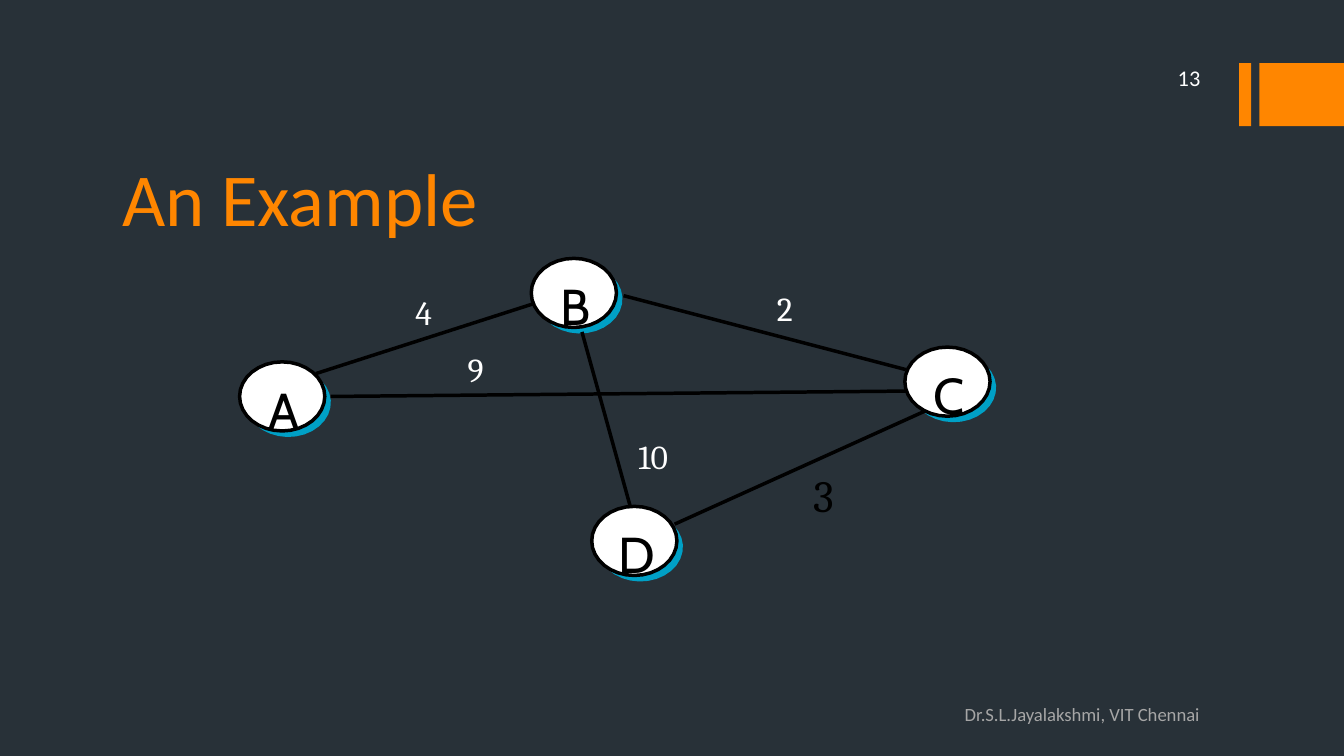
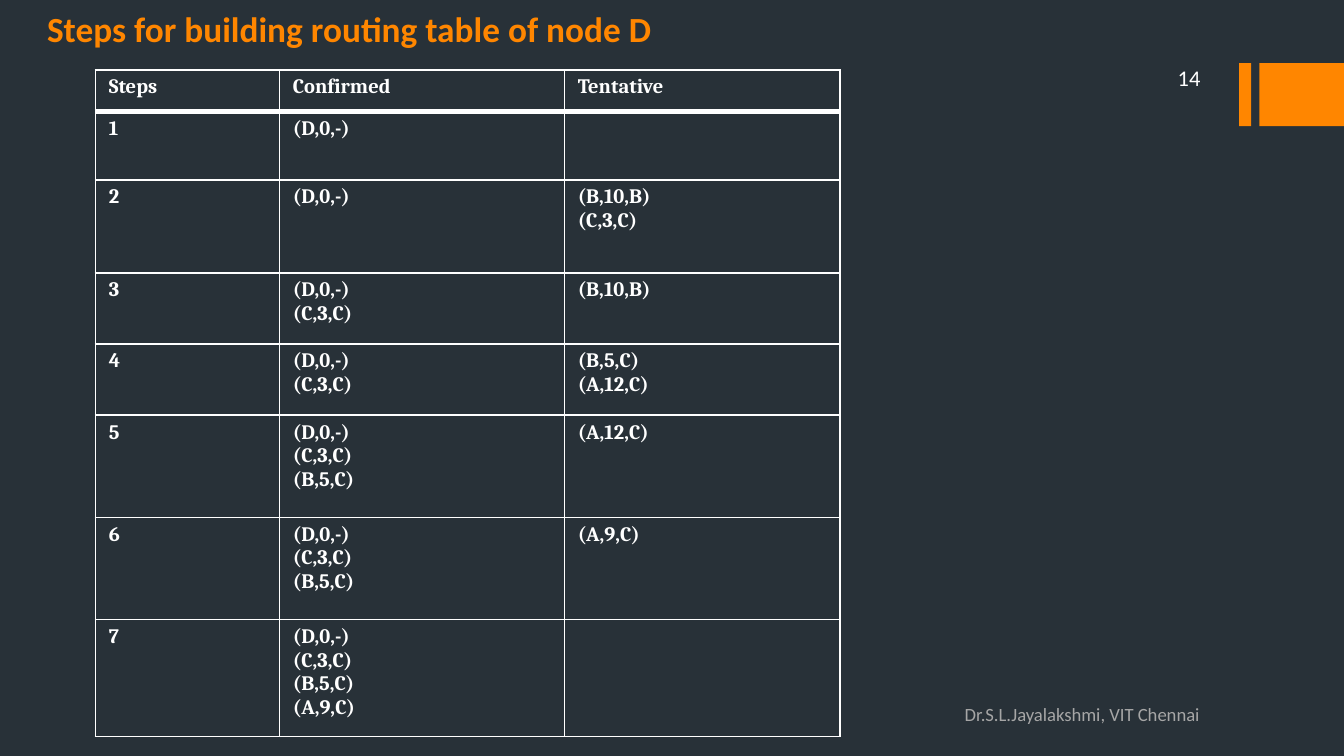
from math import cos, radians, sin
from typing import NamedTuple

from lxml.etree import SubElement
from pptx import Presentation
from pptx.dml.color import RGBColor
from pptx.enum.shapes import MSO_CONNECTOR, MSO_SHAPE
from pptx.enum.text import MSO_ANCHOR, MSO_AUTO_SIZE, PP_ALIGN
from pptx.oxml.ns import qn
from pptx.util import Inches, Pt

# Lengths are counted in square grid cells: 100 columns by 56.25 rows.
CELL = Inches(10) // 100
COLUMNS, ROWS = 100, 56.25

BACKGROUND, ORANGE, CYAN = "283138", "FF8600", "00A0C6"
WHITE, BLACK, GREY = "FFFFFF", "000000", "A6A6A6"
FOOTER = "Dr.S.L.Jayalakshmi, VIT Chennai"
EDGE_WIDTH = 1.88
RADIUS_X, RADIUS_Y = 3.17, 2.57
SHADE_SHIFT = 0.45


class Area(NamedTuple):
    left: float
    top: float
    width: float
    height: float


class Node(NamedTuple):
    name: str
    x: float
    y: float


class Edge(NamedTuple):
    start: tuple[float, float]
    end: tuple[float, float]
    cost: str
    cost_area: Area
    cost_size: float = 18
    cost_color: str = WHITE


class Step(NamedTuple):
    height: float
    label: str
    confirmed: str
    tentative: str


BANDS = [Area(92.2, 4.7, 0.9, 4.7), Area(93.7, 4.7, 6.3, 4.7)]
NUMBER_AREA = Area(80, 4.5, 10.3, 2.5)
FOOTER_AREA = Area(70.8, 52.3, 24.6, 2.5)

NODES = [Node("D", 47.2, 40.25), Node("A", 21, 29.5),
         Node("B", 42.7, 21.8), Node("C", 70.5, 28.4)]
EDGES = [
    Edge((23.5, 27.8), (39.7, 22.6), "4", Area(30.9, 21.7, 1.3, 3)),
    Edge((46.4, 22), (67.4, 27.5), "2", Area(57.8, 21.4, 1.3, 3)),
    Edge((24.6, 29.5), (67.4, 29.1), "9", Area(34.8, 26, 1.3, 3)),
    Edge((43.3, 24.7), (46.9, 37.7), "10", Area(47.5, 32.4, 2.5, 3)),
    Edge((68.8, 30.6), (50.2, 39), "3", Area(60.5, 34.8, 1.7, 4), 24, BLACK),
]

TABLE_LEFT, TABLE_TOP = 7.1, 5.2
COLUMN_WIDTHS = [13.7, 21.2, 20.5]
STEPS = [
    Step(3.1, "Steps", "Confirmed", "Tentative"),
    Step(5.1, "1", "(D,0,-)", ""),
    Step(6.9, "2", "(D,0,-)", "(B,10,B)\n(C,3,C)"),
    Step(5.3, "3", "(D,0,-)\n(C,3,C)", "(B,10,B)"),
    Step(5.3, "4", "(D,0,-)\n(C,3,C)", "(B,5,C)\n(A,12,C)"),
    Step(7.6, "5", "(D,0,-)\n(C,3,C)\n(B,5,C)", "(A,12,C)"),
    Step(7.6, "6", "(D,0,-)\n(C,3,C)\n(B,5,C)", "(A,9,C)"),
    Step(8.7, "7", "(D,0,-)\n(C,3,C)\n(B,5,C)\n(A,9,C)", ""),
]


def color(value: str) -> RGBColor:
    return RGBColor.from_string(value)


def cells(*counts: float) -> list[int]:
    """Turn grid counts into lengths."""
    return [round(count * CELL) for count in counts]


def write(frame, text: str, *, font: str = "Calibri", size: float = 12, fill: str = WHITE,
          bold: bool = False, align=PP_ALIGN.LEFT) -> None:
    """Fill a text frame, one paragraph for each line of text."""
    for index, line in enumerate(text.split("\n")):
        para = frame.add_paragraph() if index else frame.paragraphs[0]
        para.alignment = align
        span = para.add_run()
        span.text = line
        span.font.name = font
        span.font.size = Pt(size)
        span.font.bold = bold
        span.font.color.rgb = color(fill)


def add_text(page, area: Area, text: str, *, tight: bool = False, anchor=MSO_ANCHOR.TOP,
             **style):
    """Add a text box; a tight one has no margins and does not wrap."""
    frame = page.shapes.add_textbox(*cells(*area)).text_frame
    frame.word_wrap = not tight
    frame.vertical_anchor = anchor
    if tight:
        frame.margin_left = frame.margin_right = frame.margin_top = frame.margin_bottom = 0
        frame.auto_size = MSO_AUTO_SIZE.SHAPE_TO_FIT_TEXT
    write(frame, text, **style)
    return frame


def paint(shape, fill: str, outline: str | None = None) -> None:
    shape.shadow.inherit = False
    shape.fill.solid()
    shape.fill.fore_color.rgb = color(fill)
    if outline:
        shape.line.color.rgb = color(outline)
        shape.line.width = Pt(EDGE_WIDTH)
    else:
        shape.line.fill.background()


def add_page(deck, number: int, title: str, title_area: Area, **style):
    """Add a page with its title, bands, number and footer."""
    page = deck.slides.add_slide(deck.slide_layouts[5])
    page.background.fill.solid()
    page.background.fill.fore_color.rgb = color(BACKGROUND)
    for band in BANDS:
        paint(page.shapes.add_shape(MSO_SHAPE.RECTANGLE, *cells(*band)), ORANGE)
    box = page.shapes.title
    box.left, box.top, box.width, box.height = cells(*title_area)
    box.text_frame.vertical_anchor = MSO_ANCHOR.BOTTOM
    box.text_frame.auto_size = MSO_AUTO_SIZE.NONE
    write(box.text_frame, title, fill=ORANGE, **style)
    add_text(page, NUMBER_AREA, str(number), anchor=MSO_ANCHOR.MIDDLE, align=PP_ALIGN.RIGHT)
    add_text(page, FOOTER_AREA, FOOTER, size=10, fill=GREY).margin_top = 0
    return page


def arc(x: float, y: float, first: int, last: int, count: int = 16) -> list[tuple[int, int]]:
    """Points of a node-sized ellipse between two angles in degrees."""
    angles = [radians(first + (last - first) * step / count) for step in range(count + 1)]
    return [tuple(cells(x + RADIUS_X * cos(angle), y + RADIUS_Y * sin(angle)))
            for angle in angles]


def add_outline(page, points: list[tuple[int, int]], fill: str,
                outline: str | None = None) -> None:
    builder = page.shapes.build_freeform(*points[0], scale=1.0)
    builder.add_line_segments(points[1:], close=True)
    paint(builder.convert_to_shape(), fill, outline)


def add_crescent(page, node: Node) -> None:
    outer = arc(node.x + SHADE_SHIFT, node.y + SHADE_SHIFT, -51, 139)
    inner = arc(node.x, node.y, 126, -39)
    add_outline(page, outer + inner, CYAN)


def add_node(page, node: Node) -> None:
    add_outline(page, arc(node.x, node.y, 0, 360, 32), WHITE, BLACK)
    add_text(page, Area(node.x - 1.2, node.y - 1.3, 2.6, 4.5), node.name, tight=True,
             font="Cabin", size=27, fill=BLACK, align=PP_ALIGN.CENTER)


def add_edge(page, edge: Edge) -> None:
    line = page.shapes.add_connector(MSO_CONNECTOR.STRAIGHT, *cells(*edge.start, *edge.end))
    line.line.color.rgb = color(BLACK)
    line.line.width = Pt(EDGE_WIDTH)
    SubElement(line._element.spPr, qn("a:effectLst"))
    add_text(page, edge.cost_area, edge.cost, tight=True, font="Cambria",
             size=edge.cost_size, fill=edge.cost_color)


def set_borders(cell, top: float, bottom: float) -> None:
    """Draw white cell borders; the sides are 1 point wide."""
    properties = cell._tc.get_or_add_tcPr()
    for side, width in (("L", 1), ("R", 1), ("T", top), ("B", bottom)):
        line = SubElement(properties, qn(f"a:ln{side}"), w=str(Pt(width)))
        SubElement(SubElement(line, qn("a:solidFill")), qn("a:srgbClr"), val=WHITE)


def add_steps_table(page) -> None:
    size = sum(COLUMN_WIDTHS), sum(step.height for step in STEPS)
    table = page.shapes.add_table(len(STEPS), len(COLUMN_WIDTHS),
                                  *cells(TABLE_LEFT, TABLE_TOP, *size)).table
    table.first_row = table.horz_banding = False
    for column, width in zip(table.columns, cells(*COLUMN_WIDTHS)):
        column.width = width
    for index, (row, step) in enumerate(zip(table.rows, STEPS)):
        row.height = cells(step.height)[0]
        for cell, text in zip(row.cells, step[1:]):
            set_borders(cell, top=3 if index == 1 else 1, bottom=3 if index == 0 else 1)
            cell.fill.background()
            cell.margin_left, cell.margin_right = cells(1, 1)
            cell.margin_top, cell.margin_bottom = cells(0.4, 0.4)
            if text:
                write(cell.text_frame, text, font="Cambria", size=11, bold=True)


def main() -> None:
    deck = Presentation()
    deck.slide_width, deck.slide_height = cells(COLUMNS, ROWS)

    graph_page = add_page(deck, 13, "An Example", Area(8.1, 9, 80, 9.5), size=40)
    for draw, items in ((add_crescent, NODES), (add_edge, EDGES), (add_node, NODES)):
        for item in items:
            draw(graph_page, item)

    steps_page = add_page(deck, 14, "Steps for building routing table of node D",
                          Area(2.5, 0, 94.2, 4.2), size=18.9, bold=True)
    add_steps_table(steps_page)
    deck.save("out.pptx")


if __name__ == "__main__":
    main()
